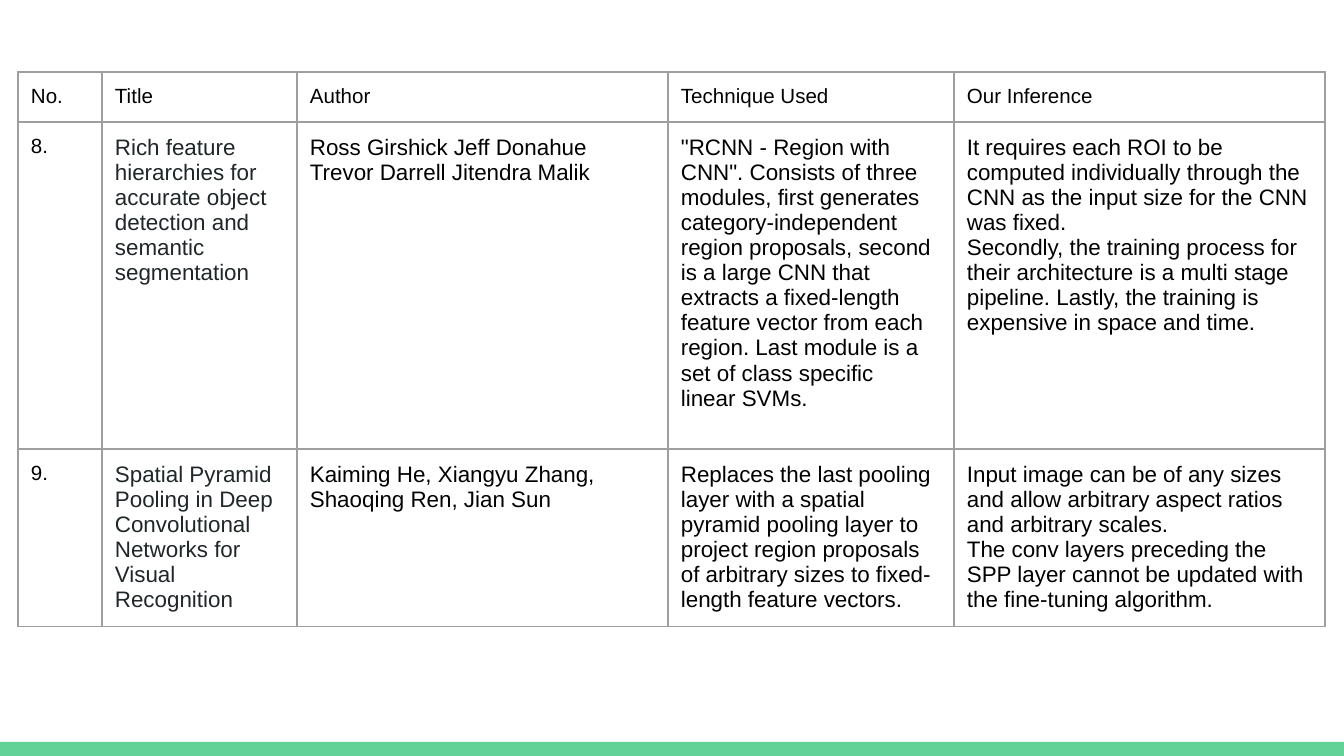
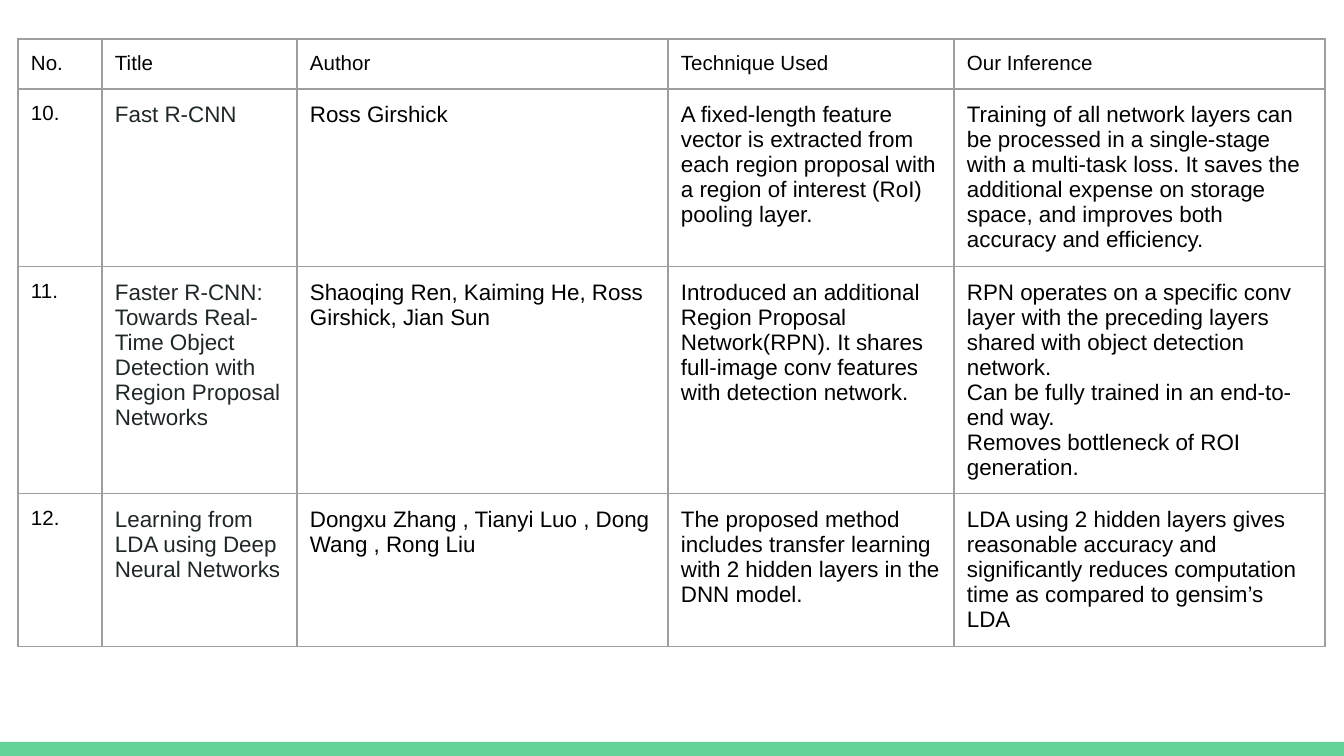
from lxml.etree import SubElement
from pptx import Presentation
from pptx.dml.color import RGBColor
from pptx.enum.shapes import MSO_SHAPE
from pptx.oxml.ns import qn
from pptx.util import Emu, Pt

SLIDE_WIDTH, SLIDE_HEIGHT = 1344, 756
BAND_HEIGHT = 14
TABLE_LEFT = 18
COLUMN_WIDTHS = [84, 195, 371, 286, 371]
CELL_MARGIN = 13
FONT = "Arial"
GREEN, GRAY, BLACK, INK = "63D297", "9E9E9E", "000000", "202729"
HEADINGS = ["No.", "Title", "Author", "Technique Used", "Our Inference"]

REGION_PAPERS = [
    [
        "8.",
        "Rich feature hierarchies for accurate object detection and semantic segmentation",
        "Ross Girshick Jeff Donahue Trevor Darrell Jitendra Malik",
        '"RCNN - Region with CNN". Consists of three modules, first generates '
        "category-independent region proposals, second is a large CNN that extracts a "
        "fixed-length feature vector from each region. Last module is a set of class "
        "specific\nlinear SVMs.",
        "It requires each ROI to be computed individually through the CNN as the input "
        "size for the CNN was fixed.\nSecondly, the training process for their "
        "architecture is a multi stage pipeline. Lastly, the training is expensive in "
        "space and time.",
    ],
    [
        "9.",
        "Spatial Pyramid Pooling in Deep Convolutional Networks for Visual Recognition",
        "Kaiming He, Xiangyu Zhang, Shaoqing Ren, Jian Sun",
        "Replaces the last pooling layer with a spatial pyramid pooling layer to project "
        "region proposals of arbitrary sizes to fixed-length feature vectors.",
        "Input image can be of any sizes and allow arbitrary aspect ratios and arbitrary "
        "scales.\nThe conv layers preceding the SPP layer cannot be updated with the "
        "fine-tuning algorithm.",
    ],
]

FASTER_PAPERS = [
    [
        "10.",
        "Fast R-CNN",
        "Ross Girshick",
        "A fixed-length feature vector is extracted from each region proposal with a "
        "region of interest (RoI) pooling layer.",
        "Training of all network layers can be processed in a single-stage with a "
        "multi-task loss. It saves the additional expense on storage space, and improves "
        "both accuracy and efficiency.",
    ],
    [
        "11.",
        "Faster R-CNN: Towards Real-Time Object Detection with Region Proposal Networks",
        "Shaoqing Ren, Kaiming He, Ross Girshick, Jian Sun",
        "Introduced an additional Region Proposal Network(RPN). It shares full-image conv "
        "features with detection network.",
        "RPN operates on a specific conv layer with the preceding layers shared with "
        "object detection network.\nCan be fully trained in an end-to-end way.\n"
        "Removes bottleneck of ROI generation.",
    ],
    [
        "12.",
        "Learning from LDA using Deep Neural Networks",
        "Dongxu Zhang , Tianyi Luo , Dong Wang , Rong Liu",
        "The proposed method includes transfer learning with 2 hidden layers in the DNN "
        "model.",
        "LDA using 2 hidden layers gives reasonable accuracy and significantly reduces "
        "computation time as compared to gensim’s LDA",
    ],
]


def px(length):
    """Turn px into EMU."""
    return Emu(round(length * 914400 / 134.4))


def color(value):
    """Turn a hex string into a colour."""
    return RGBColor.from_string(value)


def add_band(slide):
    """Draw the green band along the bottom edge."""
    band = slide.shapes.add_shape(
        MSO_SHAPE.RECTANGLE, 0, px(SLIDE_HEIGHT - BAND_HEIGHT), px(SLIDE_WIDTH), px(BAND_HEIGHT)
    )
    band.shadow.inherit = False
    band.fill.solid()
    band.fill.fore_color.rgb = color(GREEN)
    band.line.fill.background()


def set_borders(cell):
    """Give a cell thin gray lines on all four sides."""
    properties = cell._tc.get_or_add_tcPr()
    for side in ("a:lnL", "a:lnR", "a:lnT", "a:lnB"):
        border = SubElement(properties, qn(side), w=str(Pt(0.75)))
        fill = SubElement(border, qn("a:solidFill"))
        SubElement(fill, qn("a:srgbClr"), val=GRAY)


def fill_cell(cell, text, size, ink):
    """Style a cell and write one paragraph per line of text."""
    cell.margin_left = cell.margin_right = px(CELL_MARGIN)
    cell.margin_top = cell.margin_bottom = px(CELL_MARGIN)
    set_borders(cell)
    cell.fill.background()
    frame = cell.text_frame
    for index, line in enumerate(text.split("\n")):
        paragraph = frame.add_paragraph() if index else frame.paragraphs[0]
        run = paragraph.add_run()
        run.text = line
        run.font.name = FONT
        run.font.size = Pt(size)
        run.font.color.rgb = color(ink)


def add_paper_table(slide, top, papers, row_heights):
    """Add the headings and one row per paper."""
    rows = [HEADINGS, *papers]
    table = slide.shapes.add_table(
        len(rows), len(HEADINGS), px(TABLE_LEFT), px(top),
        px(sum(COLUMN_WIDTHS)), px(sum(row_heights)),
    ).table
    table.first_row = table.horz_banding = False
    for column, width in zip(table.columns, COLUMN_WIDTHS):
        column.width = px(width)
    for r, (texts, height) in enumerate(zip(rows, row_heights)):
        table.rows[r].height = px(height)
        for c, text in enumerate(texts):
            size = 11 if r == 0 or c == 0 else 12
            ink = INK if r and c == 1 else BLACK
            fill_cell(table.cell(r, c), text, size, ink)


def add_paper_slide(deck, top, papers, row_heights):
    """Add a slide with the band and a table of papers."""
    slide = deck.slides.add_slide(deck.slide_layouts[6])
    add_band(slide)
    add_paper_table(slide, top, papers, row_heights)


def main():
    """Build and save the deck."""
    deck = Presentation()
    deck.slide_width, deck.slide_height = px(SLIDE_WIDTH), px(SLIDE_HEIGHT)
    add_paper_slide(deck, 72, REGION_PAPERS, [50, 327, 178])
    add_paper_slide(deck, 39, FASTER_PAPERS, [50, 178, 227, 153])
    deck.save("out.pptx")


if __name__ == "__main__":
    main()
